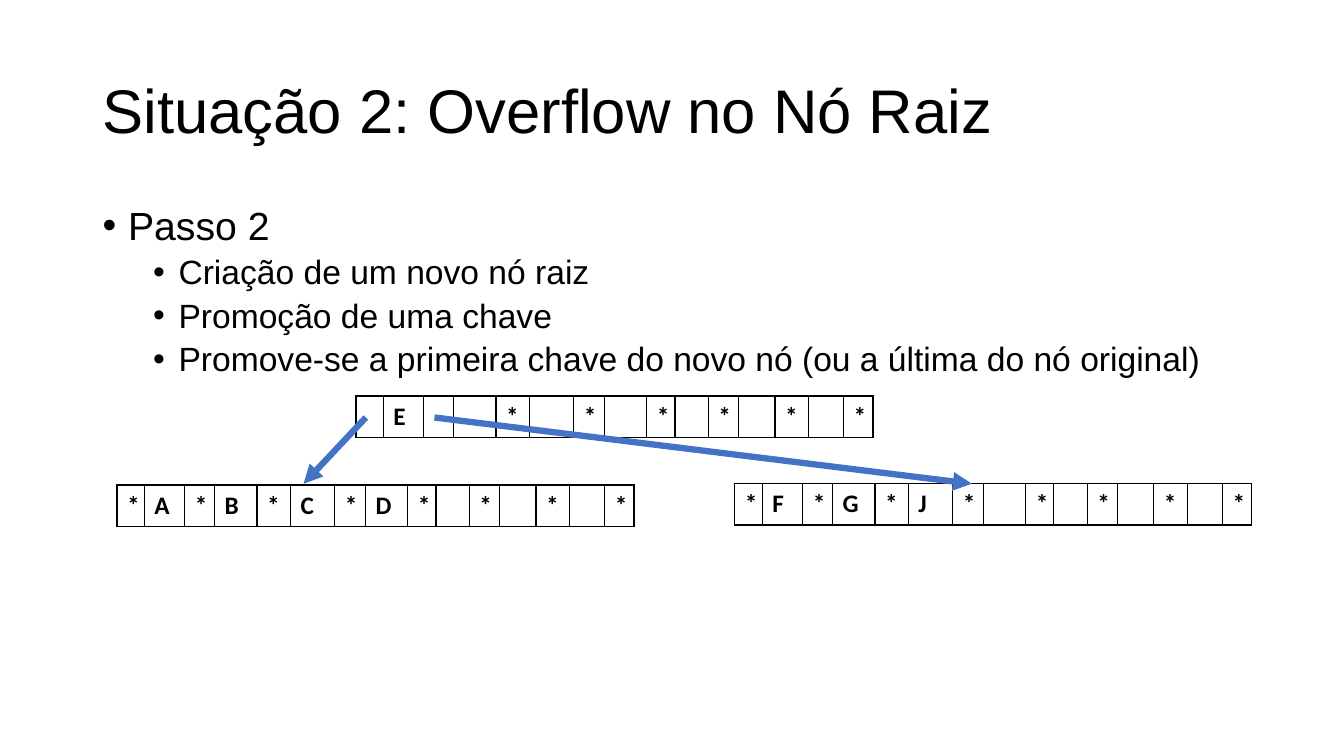
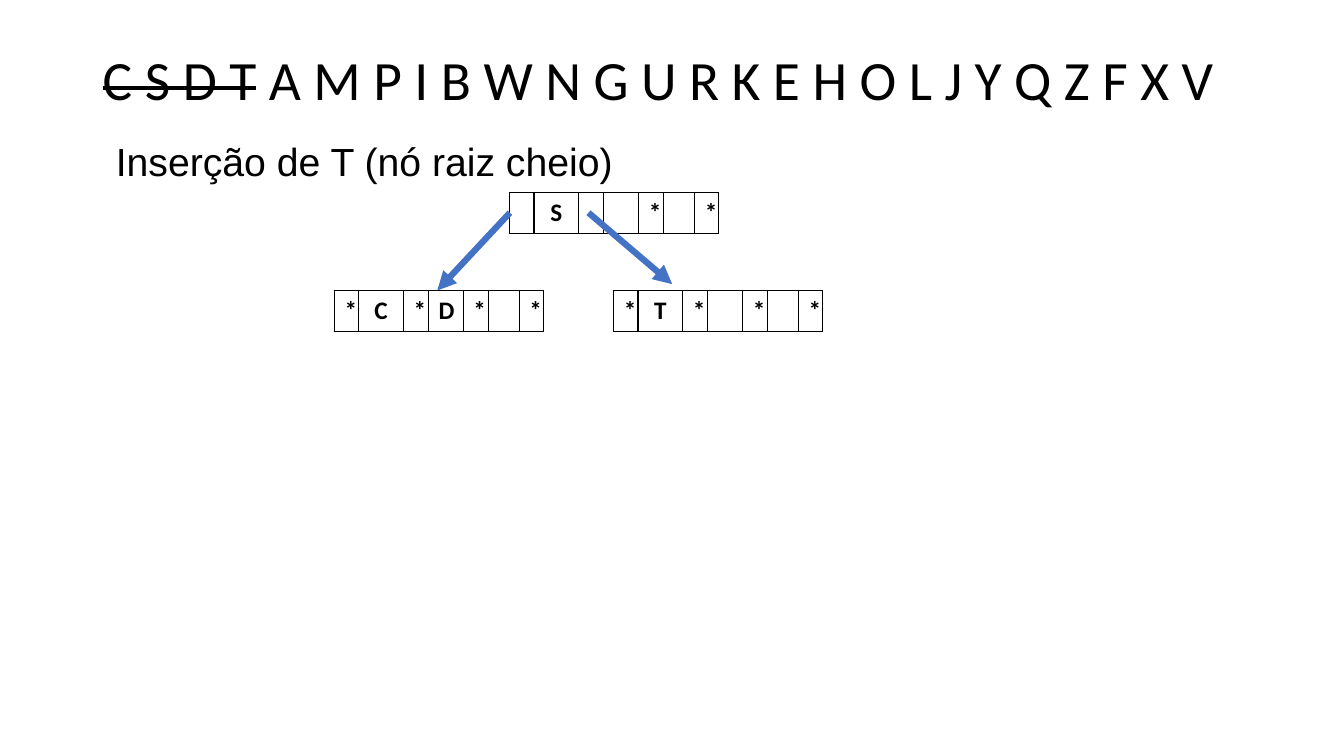
from lxml import etree
from pptx import Presentation
from pptx.dml.color import RGBColor
from pptx.enum.shapes import MSO_CONNECTOR as Connector
from pptx.enum.text import MSO_ANCHOR as Anchor, PP_ALIGN as Align
from pptx.oxml.ns import qn
from pptx.util import Cm, Pt

BLACK = "000000"
ARROW_BLUE = "4472C4"
HEADING_FONT = "Arial"
KEY_FONT = "Calibri"
CONTENT_WIDTH = 29.21
ROW_HEIGHT = 1.04
LARGE_NODE = [0.69, 1.02, 0.75, 1.07, 0.84, 1.12, 0.77, 1.07,
              0.71, 0.84, 0.76, 0.92, 0.84, 0.89, 0.74]
SMALL_NODE = [0.6, 1.13, 0.63, 0.88, 0.63, 0.78, 0.6]


def color(value):
    """Turn a hex string into a colour."""
    return RGBColor.from_string(value)


def format_span(span, size, font=HEADING_FONT, bold=False):
    """Set the font of one run."""
    span.font.size = Pt(size)
    span.font.name = font
    span.font.bold = bold
    span.font.color.rgb = color(BLACK)


def add_box(page, left, top, height, anchor=Anchor.TOP):
    """Add a wrapping text box and return its text frame."""
    box = page.shapes.add_textbox(Cm(left), Cm(top), Cm(CONTENT_WIDTH), Cm(height))
    frame = box.text_frame
    frame.word_wrap = True
    frame.vertical_anchor = anchor
    frame.paragraphs[0].line_spacing = 0.9
    return frame


def add_line(page, text, left, top, height, size, anchor=Anchor.TOP):
    """Add a box with a single line of text."""
    para = add_box(page, left, top, height, anchor).paragraphs[0]
    para.text = text
    format_span(para.runs[0], size)


def add_key_sequence(page, inserted, pending):
    """Add the title of keys, with the inserted ones struck through."""
    para = add_box(page, 2.34, 1, 2.15, Anchor.MIDDLE).paragraphs[0]
    for text in (inserted, pending):
        span = para.add_run()
        span.text = text
        format_span(span, 39.6, KEY_FONT)
    para.runs[0]._r.get_or_add_rPr().set("strike", "sngStrike")


def add_bullet(para, indent):
    """Give a paragraph a hanging bullet."""
    properties = para._p.get_or_add_pPr()
    properties.set("marL", str(Cm(indent)))
    properties.set("indent", str(-Cm(0.64)))
    etree.SubElement(properties, qn("a:buFont")).set("typeface", HEADING_FONT)
    etree.SubElement(properties, qn("a:buChar")).set("char", "•")


def add_steps(page, heading, steps):
    """Add a heading bullet with its second-level bullets."""
    frame = add_box(page, 2.34, 5.08, 4.9)
    for index, text in enumerate([heading, *steps]):
        para = frame.add_paragraph() if index else frame.paragraphs[0]
        add_bullet(para, 1.91 if index else 0.64)
        para.text = text
        para.line_spacing = 0.9
        if index:
            para.space_before = Pt(5)
        format_span(para.runs[0], 24 if index else 28)


def add_borders(cell):
    """Draw a thin black border round a cell."""
    properties = cell._tc.get_or_add_tcPr()
    for index, side in enumerate(("lnL", "lnR", "lnT", "lnB")):
        line = etree.Element(qn(f"a:{side}"), w=str(Pt(1)))
        fill = etree.SubElement(line, qn("a:solidFill"))
        etree.SubElement(fill, qn("a:srgbClr")).set("val", BLACK)
        properties.insert(index, line)


def add_node(page, slots, left, top, widths, align=Align.LEFT):
    """Add a tree node with one character per slot, a space being empty."""
    frame = page.shapes.add_table(1, len(widths), Cm(left), Cm(top),
                                  Cm(sum(widths)), Cm(ROW_HEIGHT))
    table = frame.table
    table.first_row = table.horz_banding = False
    for column, cell, width, slot in zip(table.columns, table.rows[0].cells, widths, slots):
        column.width = Cm(width)
        cell.fill.background()
        add_borders(cell)
        para = cell.text_frame.paragraphs[0]
        para.text = slot.strip()
        para.alignment = align
        for span in para.runs:
            format_span(span, 18, KEY_FONT, bold=True)


def add_arrow(page, start, end):
    """Add a pointer from a node to its child."""
    arrow = page.shapes.add_connector(Connector.STRAIGHT, *map(Cm, start + end))
    arrow.line.color.rgb = color(ARROW_BLUE)
    arrow.line.width = Pt(4.5)
    etree.SubElement(arrow.line._get_or_add_ln(), qn("a:tailEnd")).set("type", "triangle")
    etree.SubElement(arrow._element.spPr, qn("a:effectLst"))


def add_overflow_page(page):
    """Build the slide on overflow in the root node."""
    add_line(page, "Situação 2: Overflow no Nó Raiz", 2.34, 1.02, 3.68, 44, Anchor.MIDDLE)
    add_steps(page, "Passo 2", [
        "Criação de um novo nó raiz",
        "Promoção de uma chave",
        "Promove-se a primeira chave do novo nó (ou a última do nó original)",
    ])
    add_node(page, " E  * * * * * *", 8.97, 9.98, LARGE_NODE)
    add_node(page, "*A*B*C*D* * * *", 2.95, 12.22, LARGE_NODE)
    add_node(page, "*F*G*J* * * * *", 18.52, 12.19, LARGE_NODE)
    add_arrow(page, (9.22, 10.52), (7.65, 12.19))
    add_arrow(page, (10.95, 10.52), (24.49, 12.19))


def add_insertion_page(page):
    """Build the slide on inserting T."""
    add_key_sequence(page, "C S D T", " A M P I B W N G U R K E H O L J Y Q Z F X V")
    add_line(page, "Inserção de T (nó raiz cheio)", 2.67, 3.48, 2.39, 28)
    add_node(page, " S  * *", 12.85, 4.85, SMALL_NODE, Align.CENTER)
    add_node(page, "*C*D* *", 8.43, 7.32, SMALL_NODE, Align.CENTER)
    add_node(page, "*T* * *", 15.47, 7.32, SMALL_NODE, Align.CENTER)
    add_arrow(page, (12.85, 5.36), (11.02, 7.32))
    add_arrow(page, (14.83, 5.36), (16.94, 7.16))


def main():
    """Build and save the deck."""
    deck = Presentation()
    deck.slide_width, deck.slide_height = Cm(33.87), Cm(19.05)
    for build in (add_overflow_page, add_insertion_page):
        build(deck.slides.add_slide(deck.slide_layouts[6]))
    deck.save("out.pptx")


if __name__ == "__main__":
    main()
